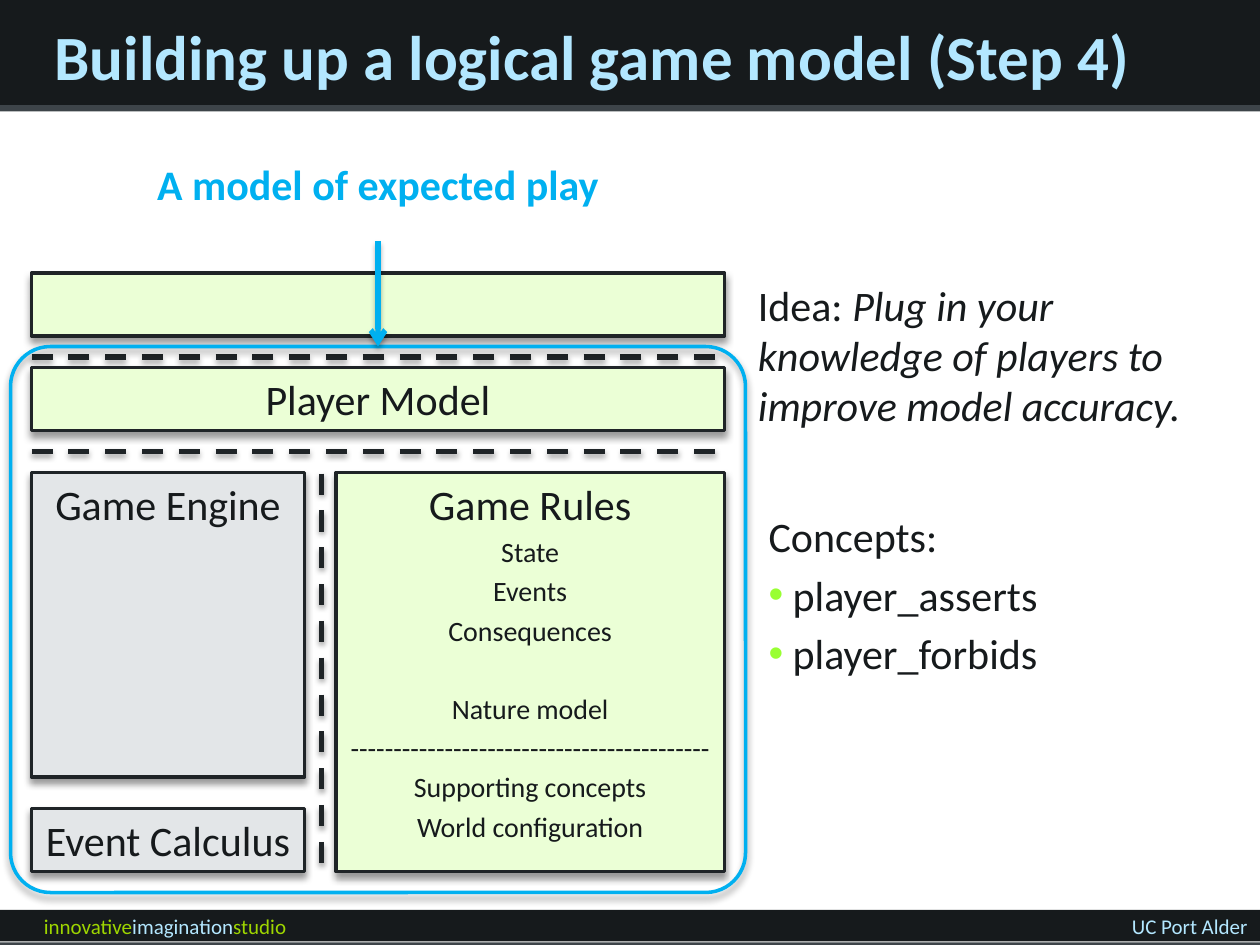
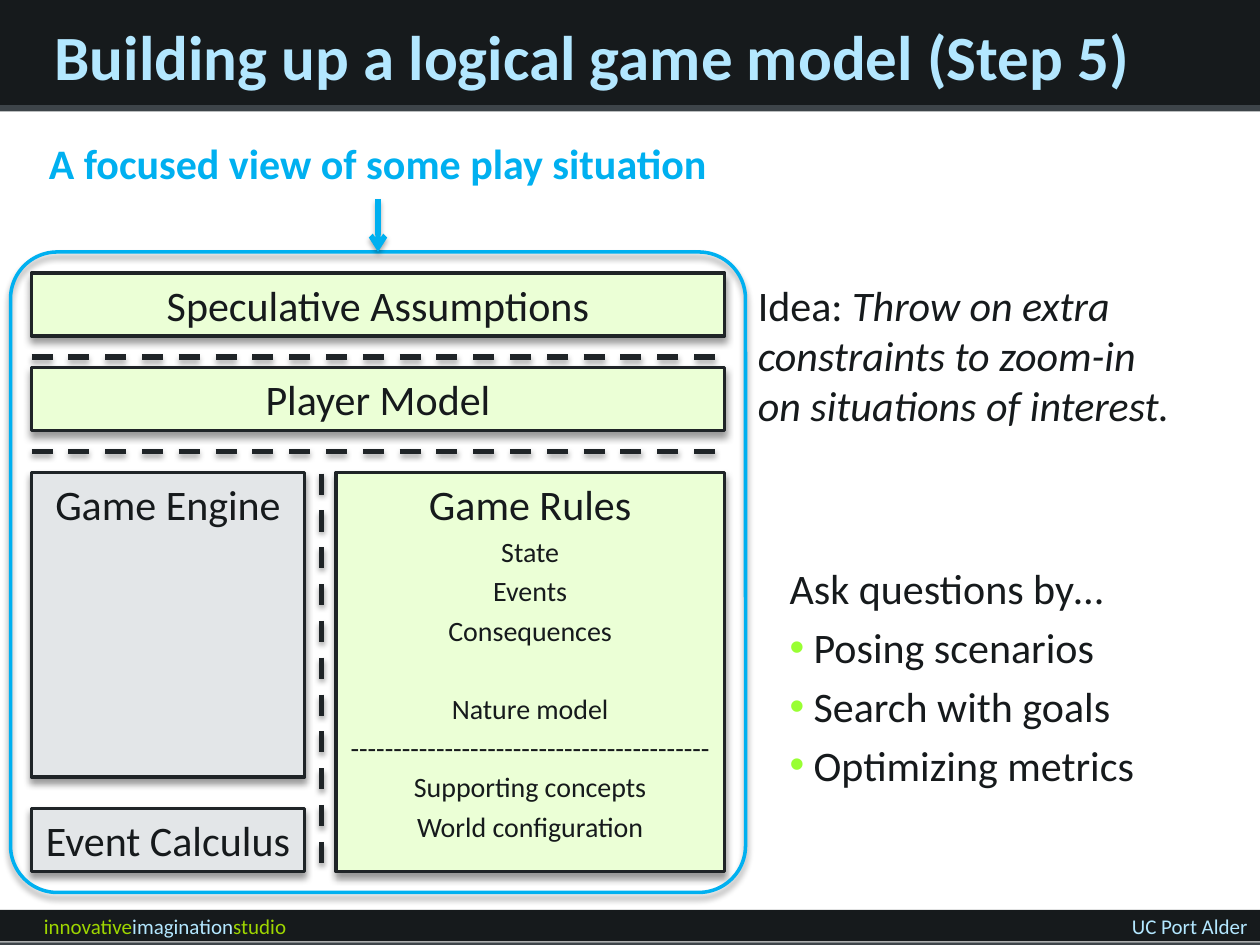
"""Builds two slides on the last steps of a layered logical game model."""
from lxml.etree import SubElement
from pptx import Presentation
from pptx.dml.color import RGBColor
from pptx.enum.dml import MSO_LINE
from pptx.enum.shapes import MSO_CONNECTOR as Connector, MSO_SHAPE as Shape
from pptx.enum.text import MSO_ANCHOR as Anchor, MSO_AUTO_SIZE as AutoSize, PP_ALIGN as Align
from pptx.oxml.ns import qn
from pptx.util import Pt

COLOURS = {
    "band": "161A1C", "strip": "3D4449", "title": "B3E7FF", "lime": "9ED600",
    "text": "161A1C", "outline": "1F2427", "grey": "E3E6E8", "green": "EBFFD6",
    "accent": "00B0F0", "bullet": "99FF33", "shadow": "000000",
}
FONT = "Calibri"
LEFT, FULL_WIDTH, ROW_HEIGHT = 18, 396, 36
BOX_SHADOW = {"alpha": 40, "blur": 4, "distance": 3}
LINE_SHADOW = {"alpha": 35, "blur": 3.1, "distance": 1.8}
RULES = ["Game Rules", "State", "Events", "Consequences", "Nature model",
         "-" * 42, "Supporting concepts", "World configuration"]
STEPS = [
    {
        "title": "Building up a logical game model (Step 4)",
        "caption": "A model of expected play",
        "caption_height": 66,
        "focus_top": 198,
        "assumptions": "",
        "idea": "Plug in your knowledge of players to improve model accuracy.",
        "idea_width": 276,
        "list_place": (432, 288, 252, 106),
        "list": ["Concepts:", "player_asserts", "player_forbids"],
    },
    {
        "title": "Building up a logical game model (Step 5)",
        "caption": "A focused view of some play situation",
        "caption_height": 42,
        "focus_top": 144,
        "assumptions": "Speculative Assumptions",
        "idea": "Throw on extra constraints to zoom-in on situations of interest.",
        "idea_width": 258,
        "list_place": (444, 318, 252, 141),
        "list": ["Ask questions by…", "Posing scenarios", "Search with goals",
                 "Optimizing metrics"],
    },
]


def colour(name):
    return RGBColor.from_string(COLOURS[name])


def place(shape, left, top, width, height):
    shape.left, shape.top = Pt(left), Pt(top)
    shape.width, shape.height = Pt(width), Pt(height)


def style_span(span, size=24, tint="text", bold=False, italic=False):
    font = span.font
    font.name, font.size = FONT, Pt(size)
    font.bold, font.italic = bold, italic
    font.color.rgb = colour(tint)


def style_para(para, align=Align.LEFT, **style):
    para.alignment = align
    for span in para.runs:
        style_span(span, **style)


def add_shadow(shape, alpha, blur, distance):
    effects = SubElement(shape._element.spPr, qn("a:effectLst"))
    outer = SubElement(effects, qn("a:outerShdw"), blurRad=str(Pt(blur)),
                       dist=str(Pt(distance)), dir="5400000", rotWithShape="0")
    tint = SubElement(outer, qn("a:srgbClr"), val=COLOURS["shadow"])
    SubElement(tint, qn("a:alpha"), val=str(alpha * 1000))


def add_band(slide, top, height, tint):
    band = slide.shapes.add_shape(Shape.RECTANGLE, 0, Pt(top), Pt(720), Pt(height))
    band.shadow.inherit = False
    band.fill.solid()
    band.fill.fore_color.rgb = colour(tint)
    band.line.fill.background()
    return band


def add_text(slide, area, spans, align=Align.LEFT, anchor=Anchor.TOP):
    """Adds one paragraph made of (text, style) spans."""
    box = slide.shapes.add_textbox(*map(Pt, area))
    frame = box.text_frame
    frame.word_wrap = True
    frame.vertical_anchor = anchor
    para = frame.paragraphs[0]
    para.alignment = align
    for text, style in spans:
        span = para.add_run()
        span.text = text
        style_span(span, **style)
    return box


def add_layer(slide, area, fill, lines):
    """Adds an outlined box with a heading and smaller lines below it."""
    layer = slide.shapes.add_shape(Shape.RECTANGLE, *map(Pt, area))
    layer.fill.solid()
    layer.fill.fore_color.rgb = colour(fill)
    layer.line.color.rgb = colour("outline")
    layer.line.width = Pt(2)
    add_shadow(layer, **BOX_SHADOW)
    frame = layer.text_frame
    frame.vertical_anchor = Anchor.TOP
    frame.text = "\n".join(lines)
    for index, para in enumerate(frame.paragraphs):
        style_para(para, Align.CENTER, size=16 if index else 24)
        if index:
            para.space_before = Pt(25.6 if para.text == "Nature model" else 3.2)


def add_focus(slide, top):
    focus = slide.shapes.add_shape(Shape.ROUNDED_RECTANGLE, Pt(6), Pt(top),
                                   Pt(420), Pt(510 - top))
    focus.adjustments[0] = 0.073 if top > 150 else 0.073
    focus.fill.background()
    focus.line.color.rgb = colour("accent")
    focus.line.width = Pt(2)
    add_shadow(focus, **BOX_SHADOW)
    return focus


def add_line(slide, start, end, tint):
    line = slide.shapes.add_connector(Connector.STRAIGHT, *map(Pt, start + end))
    line.line.color.rgb = colour(tint)
    line.line.width = Pt(3)
    add_shadow(line, **LINE_SHADOW)
    return line


def add_divider(slide, start, end):
    add_line(slide, start, end, "outline").line.dash_style = MSO_LINE.DASH


def add_arrow(slide, caption, focus):
    centre = LEFT + FULL_WIDTH / 2
    arrow = add_line(slide, (centre, caption.top.pt + caption.height.pt),
                     (centre, focus.top.pt), "accent")
    arrow.begin_connect(caption, 2)
    arrow.end_connect(focus, 0)
    SubElement(arrow.line._get_or_add_ln(), qn("a:tailEnd"), type="arrow")


def fill_title(slide, text):
    title = slide.shapes.title
    place(title, 24, 0, 648, 63)
    frame = title.text_frame
    frame.text = text
    frame.vertical_anchor = Anchor.MIDDLE
    frame.auto_size = AutoSize.NONE
    style_para(frame.paragraphs[0], size=36, tint="title", bold=True)


def fill_list(slide, area, lines):
    """Fills the body placeholder with a plain lead line and bulleted items."""
    body = slide.placeholders[1]
    place(body, *area)
    frame = body.text_frame
    frame.text = "\n".join(lines)
    frame.auto_size = AutoSize.NONE
    for index, para in enumerate(frame.paragraphs):
        style_para(para)
        para.space_before = Pt(4.8 if index else 0)
        props = para._p.get_or_add_pPr()
        hang = Pt(13.75) if index else 0
        props.set("marL", str(hang))
        props.set("indent", str(-hang))
        if index:
            tint = SubElement(props, qn("a:buClr"))
            SubElement(tint, qn("a:srgbClr"), val=COLOURS["bullet"])
            SubElement(props, qn("a:buChar"), char="•")
        else:
            SubElement(props, qn("a:buNone"))


def add_shared_frame(slide):
    """Draws bands and footers, then moves them to the slide's layout."""
    lime, pale = ({"size": 12, "tint": tint} for tint in ("lime", "title"))
    parts = [
        add_band(slide, 0, 60, "band"),
        add_band(slide, 520, 18, "band"),
        add_text(slide, (18, 518.4, 282, 21.6),
                 [("innovative", lime), ("imagination", pale), ("studio", lime)]),
        add_text(slide, (480, 518.4, 240, 21.6), [("UC Port Alder", pale)], Align.RIGHT),
        add_band(slide, 60, 3.6, "strip"),
        add_band(slide, 538.5, 1.5, "strip"),
    ]
    for number, part in enumerate(parts, start=100):
        part._element.nvSpPr.cNvPr.id = number
        slide.slide_layout.shapes._spTree.append(part._element)


def add_model(slide, assumptions):
    add_divider(slide, (183.6, 270.7), (183.6, 499))
    for top in (258, 204):
        add_divider(slide, (LEFT, top), (LEFT + FULL_WIDTH, top))
    add_layer(slide, (LEFT, 462, 156, ROW_HEIGHT), "grey", ["Event Calculus"])
    add_layer(slide, (LEFT, 270, 156, 174), "grey", ["Game Engine"])
    add_layer(slide, (192, 270, 222, 228), "green", RULES)
    for top, label in ((210, "Player Model"), (156, assumptions)):
        add_layer(slide, (LEFT, top, FULL_WIDTH, ROW_HEIGHT), "green", [label])


def add_step(slide, step):
    fill_title(slide, step["title"])
    add_model(slide, step["assumptions"])
    focus = add_focus(slide, step["focus_top"])
    add_text(slide, (426, 156, step["idea_width"], 94),
             [("Idea: ", {}), (step["idea"], {"italic": True})])
    caption = add_text(slide, (LEFT, 72, FULL_WIDTH, step["caption_height"]),
                       [(step["caption"], {"tint": "accent", "bold": True})],
                       Align.CENTER, Anchor.MIDDLE)
    add_arrow(slide, caption, focus)
    fill_list(slide, step["list_place"], step["list"])


def main():
    deck = Presentation()
    deck.slide_width, deck.slide_height = Pt(720), Pt(540)
    layout = deck.slide_layouts[1]
    slides = [deck.slides.add_slide(layout) for _ in STEPS]
    add_shared_frame(slides[0])
    for slide, step in zip(slides, STEPS):
        add_step(slide, step)
    deck.save("out.pptx")


if __name__ == "__main__":
    main()
